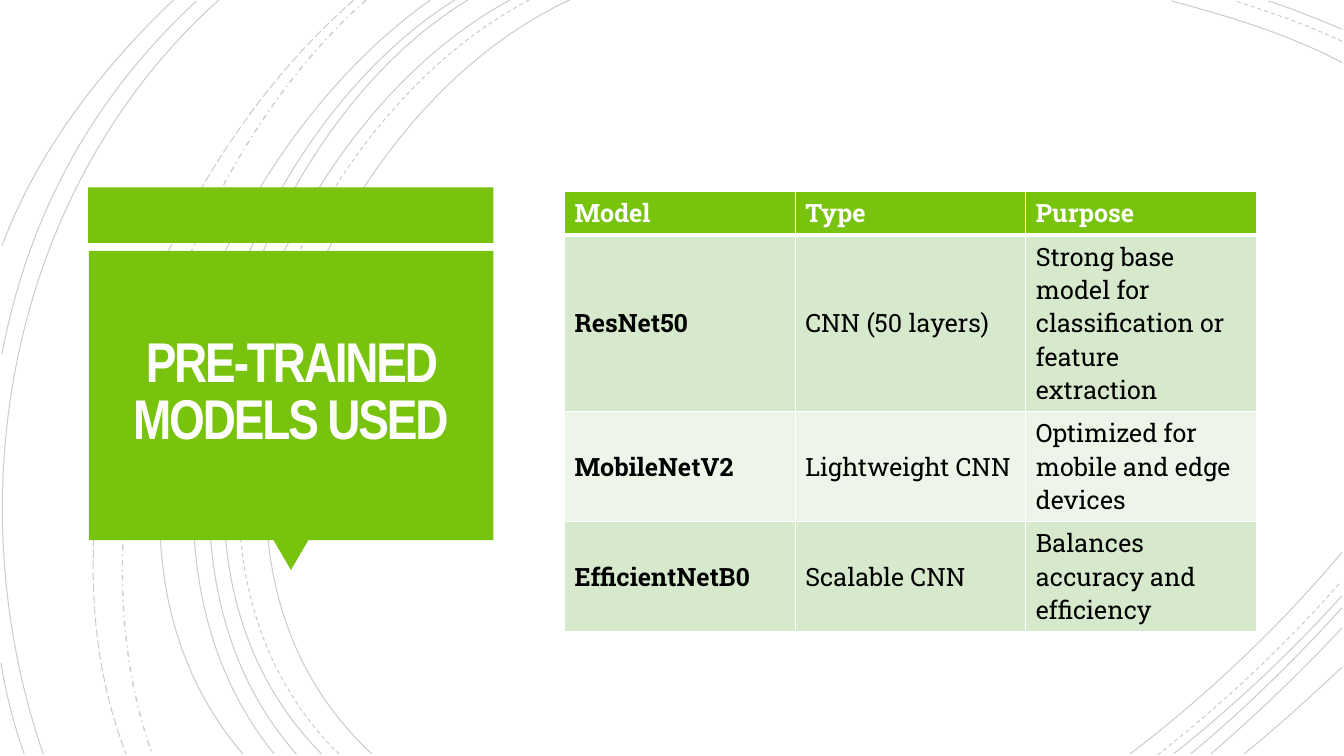
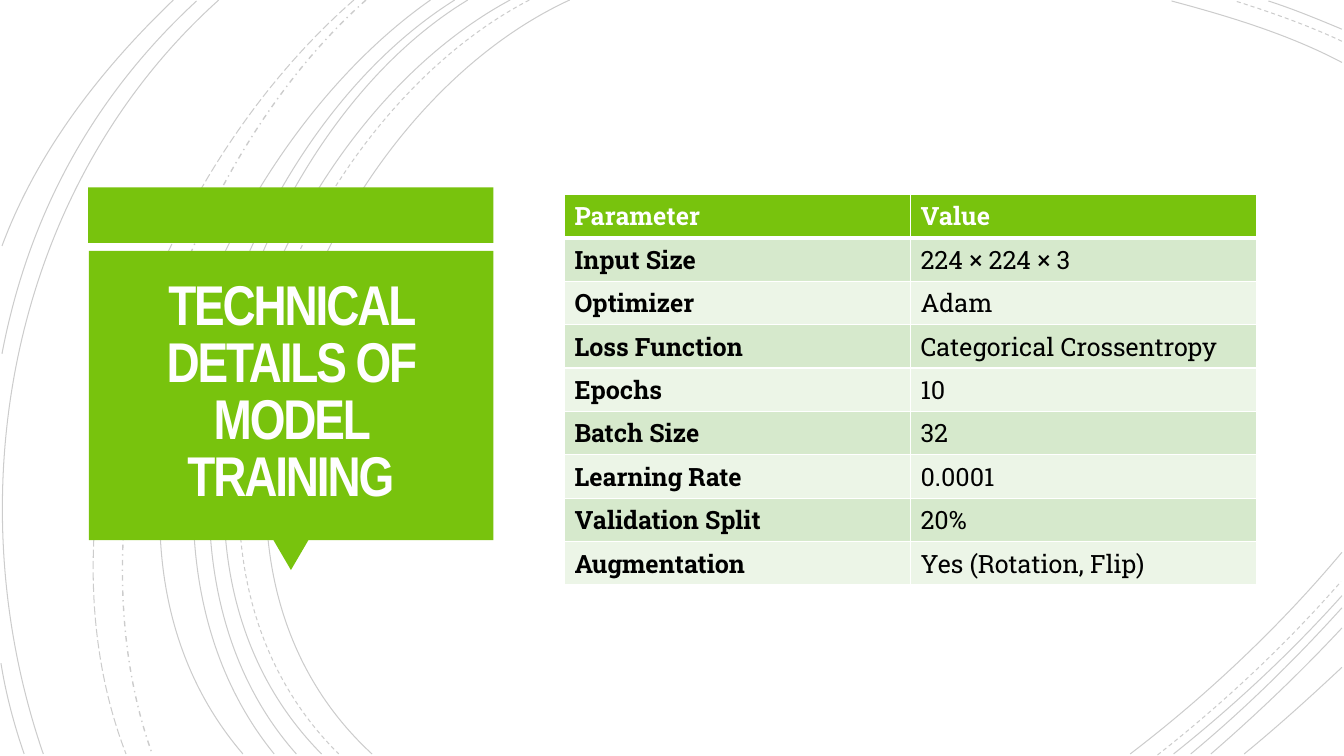
import pptx
import pptx.util
import pptx.dml.color
import pptx.enum.dml
import pptx.enum.shapes
import pptx.enum.text
import pptx.oxml.ns
import lxml.etree

WIDTH, HEIGHT = pptx.util.Inches(13.33), pptx.util.Inches(7.5)
COLORS = {
    "accent": "78C30D",
    "title": "FFFEFF",
    "white": "FFFFFF",
    "black": "000000",
    "band_dark": "D6E9CC",
    "band_light": "ECF5E7",
}
TITLE_FONT, TABLE_FONT = "Arial Narrow", "Roboto Slab"
ROW_HEIGHT = 5.41

DASH = pptx.enum.dml.MSO_LINE
CURVES = {
    (DASH.SOLID, 0.75): [
        [(5.65, 0), (3.15, 1.15), (1.43, 5.4), (3.69, 7.48)],
        [(13.31, 0.62), (12.78, 0.34), (12.18, 0.16), (11.62, 0.01)],
        [(11.21, 7.48), (11.97, 6.9), (12.69, 6.22), (13.31, 5.48)],
        [(5.06, 0), (2.7, 1.27), (1.1, 5.37), (3.19, 7.48)],
        [(13.31, 0.29), (13.07, 0.19), (12.83, 0.09), (12.58, 0.01)],
        [(11.64, 7.48), (12.23, 7.01), (12.8, 6.48), (13.31, 5.91)],
        [(4.64, 0), (2.44, 1.33), (1.1, 5.41), (2.94, 7.48)],
        [(11.81, 7.48), (12.34, 7.04), (12.84, 6.55), (13.31, 6.03)],
        [(4.51, 0), (2.31, 1.38), (0.97, 5.33), (2.72, 7.48)],
        [(12.01, 7.48), (12.46, 7.09), (12.9, 6.67), (13.31, 6.23)],
        [(4.27, 0), (2.17, 1.47), (0.53, 5.29), (2.41, 7.48)],
        [(12.34, 7.48), (12.67, 7.21), (12.99, 6.92), (13.31, 6.62)],
        [(2.17, 0), (0.11, 1.85), (-0.46, 4.9), (0.43, 7.48)],
        [(1.95, 0.01), (0.92, 0.96), (0.28, 2.14), (0.02, 3.51)],
        [(0.01, 6.58), (0.06, 6.89), (0.14, 7.19), (0.24, 7.48)],
        [(1.72, 0), (1, 0.69), (0.37, 1.5), (0.02, 2.44)],
    ],
    (DASH.DASH, 0.75): [
        [(5.25, 0), (2.85, 1.25), (1.23, 5.37), (3.36, 7.48)],
        [(13.31, 0.41), (12.97, 0.25), (12.6, 0.12), (12.25, 0.01)],
        [(11.48, 7.49), (12.13, 6.98), (12.75, 6.4), (13.3, 5.77)],
    ],
    (DASH.DASH_DOT, 1): [
        [(3.63, 0), (1.76, 1.66), (0.65, 5.09), (1.51, 7.48)],
    ],
    (DASH.LONG_DASH, 0.75): [
        [(3.51, 0), (1.57, 1.69), (0.29, 4.99), (1.25, 7.48)],
    ],
}

MODELS = [
    ("Model", "Type", "Purpose"),
    ("ResNet50", "CNN (50 layers)",
     "Strong base model for classification or feature extraction"),
    ("MobileNetV2", "Lightweight CNN", "Optimized for mobile and edge devices"),
    ("EfficientNetB0", "Scalable CNN", "Balances accuracy and efficiency"),
]
TRAINING = [
    ("Parameter", "Value"),
    ("Input Size", "224 × 224 × 3"),
    ("Optimizer", "Adam"),
    ("Loss Function", "Categorical Crossentropy"),
    ("Epochs", "10"),
    ("Batch Size", "32"),
    ("Learning Rate", "0.0001"),
    ("Validation Split", "20%"),
    ("Augmentation", "Yes (Rotation, Flip)"),
]


def rgb(name):
    return pptx.dml.color.RGBColor.from_string(COLORS[name])


def share(left, top, width, height):
    return (int(WIDTH * left / 100), int(HEIGHT * top / 100),
            int(WIDTH * width / 100), int(HEIGHT * height / 100))


def sub(parent, tag, **attrs):
    return lxml.etree.SubElement(parent, pptx.oxml.ns.qn(tag), attrs)


def style_run(r, font, size, color, bold):
    r.font.name = font
    r.font.size = pptx.util.Pt(size)
    r.font.bold = bold
    r.font.color.rgb = rgb(color)


def bend(sp):
    outline = sp.element.xpath(".//a:path")[0]
    curve = sub(outline, "a:cubicBezTo")
    for line in outline.findall(pptx.oxml.ns.qn("a:lnTo")):
        curve.append(line[0])
        outline.remove(line)


def add_curve(s, points, dash, weight):
    start, *others = points
    builder = s.shapes.build_freeform(*start, scale=pptx.util.Inches(1))
    points = [tuple(map(pptx.util.Inches, point)) for point in (start, *others)]
    builder = s.shapes.build_freeform(*points[0])
    builder.add_line_segments(points[1:], close=False)
    sp = builder.convert_to_shape()
    bend(sp)
    sp.shadow.inherit = False
    sp.fill.background()
    sp.line.color.rgb = rgb("black")
    sp.line.width = pptx.util.Pt(weight)
    sp.line.dash_style = dash
    for color in sp.element.iter(pptx.oxml.ns.qn("a:srgbClr")):
        sub(color, "a:alpha", val="20000")


def add_block(s, preset, box, rotation=0):
    sp = s.shapes.add_shape(preset, *share(*box))
    sp.rotation = rotation
    sp.shadow.inherit = False
    sp.fill.solid()
    sp.fill.fore_color.rgb = rgb("accent")
    sp.line.fill.background()


def add_backdrop(s):
    for (dash, weight), curves in CURVES.items():
        for points in curves:
            add_curve(s, points, dash, weight)
    preset = pptx.enum.shapes.MSO_SHAPE
    add_block(s, preset.RECTANGLE, (6.57, 24.8, 30.15, 7.33))
    add_block(s, preset.ISOSCELES_TRIANGLE, (20.33, 71.4, 2.63, 4), 180)
    add_block(s, preset.RECTANGLE, (6.61, 33.2, 30.1, 38.27))


def move_to_layout(s):
    drawn = [sp for sp in s.shapes if not sp.is_placeholder]
    for number, sp in enumerate(drawn, 100):
        sp.element.xpath("./p:nvSpPr/p:cNvPr")[0].set("id", str(number))
        s.slide_layout.shapes.element.append(sp.element)


def set_title(s, text):
    sp = s.shapes.title
    sp.left, sp.top, sp.width, sp.height = share(7.28, 34.2, 28.73, 35.87)
    tf = sp.text_frame
    tf.text = text
    tf.word_wrap = True
    tf.auto_size = pptx.enum.text.MSO_AUTO_SIZE.NONE
    tf.vertical_anchor = pptx.enum.text.MSO_ANCHOR.MIDDLE
    inset = pptx.util.Inches(0.25)
    tf.margin_left = tf.margin_right = tf.margin_top = tf.margin_bottom = inset
    p = tf.paragraphs[0]
    p.alignment = pptx.enum.text.PP_ALIGN.CENTER
    p.line_spacing = 0.85
    style_run(p.runs[0], TITLE_FONT, 40, "title", True)
    sp.element.xpath(".//a:rPr")[0].set("spc", "-150")


def set_header_borders(cell):
    props = cell._tc.get_or_add_tcPr()
    for side, weight in (("L", 1), ("R", 1), ("T", 1), ("B", 3)):
        ln = sub(props, "a:ln" + side, w=str(pptx.util.Pt(weight)))
        sub(sub(ln, "a:solidFill"), "a:srgbClr", val=COLORS["white"])


def fill_cell(cell, text, row, col):
    if row == 0:
        set_header_borders(cell)
    fill = "accent" if row == 0 else "band_dark" if row % 2 else "band_light"
    cell.fill.solid()
    cell.fill.fore_color.rgb = rgb(fill)
    cell.vertical_anchor = pptx.enum.text.MSO_ANCHOR.MIDDLE
    cell.text_frame.text = text
    style_run(cell.text_frame.paragraphs[0].runs[0], TABLE_FONT, 18,
              "black" if row else "white", row == 0 or col == 0)


def add_grid(s, rows, top):
    box = share(42, top, 51.5, ROW_HEIGHT * len(rows))
    table = s.shapes.add_table(len(rows), len(rows[0]), *box).table
    for i, row in enumerate(rows):
        for j, text in enumerate(row):
            fill_cell(table.cell(i, j), text, i, j)


def main():
    prs = pptx.Presentation()
    prs.slide_width, prs.slide_height = WIDTH, HEIGHT
    layout = prs.slide_layouts.get_by_name("Title Only")
    contents = [
        ("PRE-TRAINED MODELS USED", MODELS, 25.33),
        ("TECHNICAL DETAILS OF MODEL TRAINING", TRAINING, 25.7),
    ]
    for number, (title, rows, top) in enumerate(contents):
        s = prs.slides.add_slide(layout)
        if number == 0:
            add_backdrop(s)
            move_to_layout(s)
        set_title(s, title)
        add_grid(s, rows, top)
    prs.save("out.pptx")


if __name__ == "__main__":
    main()
